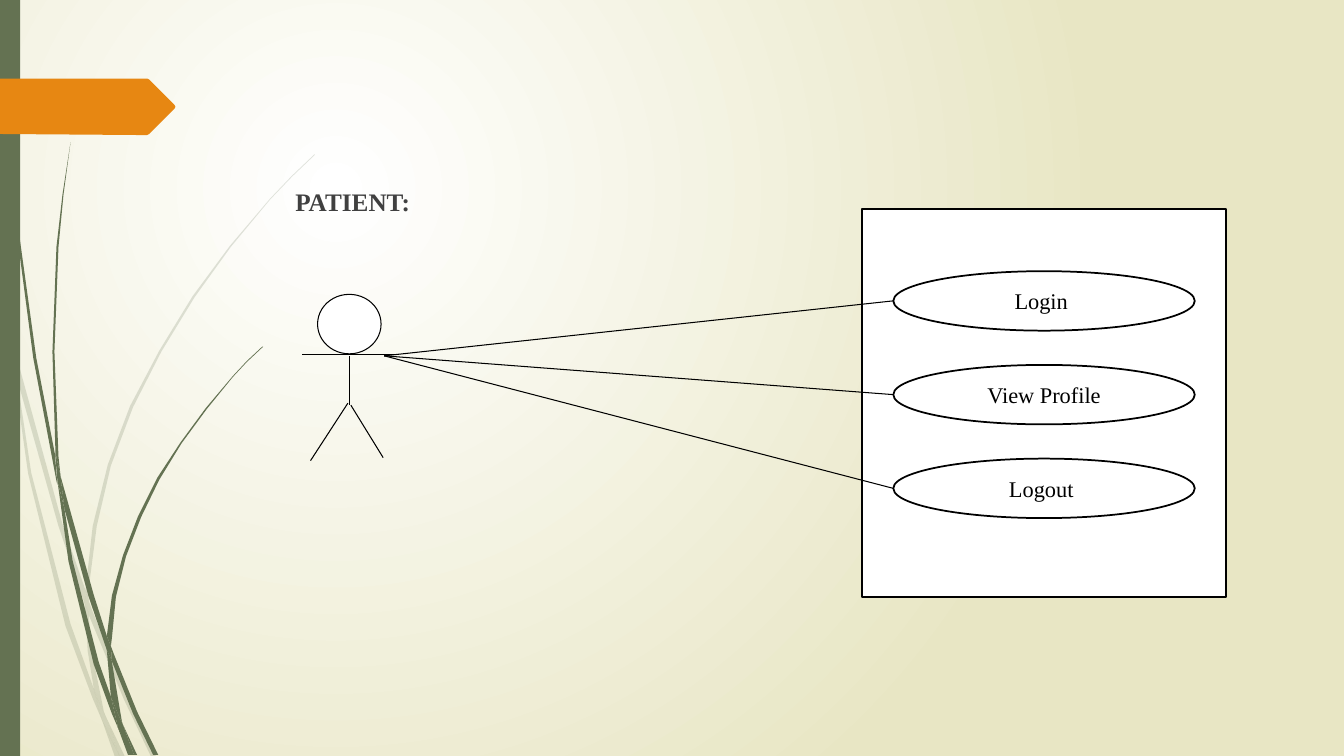
from lxml.etree import SubElement
from pptx import Presentation
from pptx.dml.color import RGBColor
from pptx.enum.shapes import MSO_CONNECTOR, MSO_SHAPE
from pptx.enum.text import MSO_ANCHOR, PP_ALIGN
from pptx.oxml.ns import qn
from pptx.util import Inches, Pt

COLORS = {
    "white": "FFFFFF", "sand": "E8E6C4", "green": "647252",
    "orange": "E78712", "black": "000000", "gray": "404040",
}

# Outlines of the grass, as "x y" points in inches
FAINT = [
    "0.11 3.5, 0.09 3.22, 0 2.82, 0 2.99, 0.1 3.44",
    "0.58 5.22, 0.84 5.99, 0.85 5.86, 0.62 5.2, 0.14 3.45, 0.17 3.76",
    "0.92 6.07, 0.88 5.96, 0.88 6.1, 1.23 6.94, 1.5 7.51, 1.55 7.51, 1.27 6.92",
    "1.19 7.51, 1.24 7.51, 1.05 7.11",
    "0.93 6.83, 0.7 6.19, 0.31 4.69, 0.17 3.76, 0.11 3.5, 0.28 4.7, 0.65 6.21,"
    "0.92 6.93, 1.01 7.14, 0.99 7.07",
    "0.84 5.99, 0.87 6.46, 0.93 6.83, 0.96 6.92, 1.05 7.11, 1.03 7.06, 0.91 6.46,"
    "0.88 6.1, 0.88 6.08",
    "0.88 5.84, 0.96 5.22, 1.1 4.62, 1.32 4.04, 1.6 3.49, 1.93 2.95, 2.29 2.45,"
    "2.68 1.98, 2.9 1.75, 3.12 1.54, 3.12 1.53, 2.89 1.75, 2.68 1.97, 2.28 2.44,"
    "1.91 2.94, 1.58 3.48, 1.29 4.03, 1.07 4.61, 0.92 5.22, 0.85 5.84, 0.85 5.86,"
    "0.88 5.96",
    "1.01 7.14, 1.14 7.51, 1.19 7.51",
    "0.88 6.08, 0.88 6.1, 0.88 5.96, 0.85 5.86, 0.84 5.99",
    "0.96 6.92, 0.93 6.83, 0.99 7.07, 1.01 7.14, 1.19 7.51, 1.05 7.11",
]
SOLID = [
    "0.07 1.1, 0.17 2.33, 0.33 3.55, 0.56 4.77, 0.57 4.81, 0.55 4.57, 0.55 4.53,"
    "0.36 3.55, 0.19 2.32, 0.08 1.09, 0.05 0.48, 0.04 0, 0.03 0, 0.04 0.48",
    "0.88 5.92, 1.06 6.45, 1.06 6.33, 1.06 6.31, 0.93 5.9, 0.6 4.72, 0.64 5.05",
    "1.13 6.49, 1.1 6.41, 1.11 6.56, 1.32 7.08, 1.52 7.49, 1.57 7.49, 1.36 7.06",
    "1.1 6.91, 0.98 6.57, 0.72 5.56, 0.64 5.05, 0.57 4.77, 0.68 5.57, 0.93 6.59,"
    "1.11 7.08, 1.17 7.22, 1.16 7.17",
    "0.6 4.72, 0.58 4.53, 0.54 3.49, 0.58 2.45, 0.63 1.93, 0.7 1.41, 0.62 1.93,"
    "0.56 2.45, 0.52 3.49, 0.55 4.49",
    "1.33 7.49, 1.36 7.49, 1.22 7.19",
    "0.57 4.77, 0.64 5.05, 0.6 4.72, 0.55 4.49, 0.55 4.53",
    "1.11 6.33, 1.15 5.92, 1.25 5.52, 1.4 5.13, 1.58 4.76, 1.8 4.4, 2.05 4.06,"
    "2.31 3.74, 2.45 3.59, 2.61 3.44, 2.6 3.44, 2.45 3.58, 2.31 3.73, 2.04 4.05,"
    "1.79 4.39, 1.56 4.74, 1.37 5.12, 1.22 5.51, 1.11 5.91, 1.06 6.31, 1.1 6.41",
    "1.17 7.22, 1.27 7.49, 1.31 7.49",
    "1.06 6.45, 1.1 6.91, 1.16 7.06, 1.22 7.19, 1.21 7.16, 1.11 6.56, 1.09 6.51",
    "1.06 6.45, 1.09 6.51, 1.11 6.56, 1.1 6.41, 1.06 6.31, 1.06 6.33",
    "1.16 7.06, 1.1 6.91, 1.16 7.17, 1.17 7.22, 1.3 7.49, 1.33 7.49, 1.22 7.19",
]
ARROW = ("1.73 1.08, 1.48 1.33, 1.46 1.34, 1.36 1.34, 0 1.33, 0 0.78, 1.46 0.78,"
         "1.48 0.79, 1.73 1.04, 1.74 1.06")


class Board:
    """Holds the slide and its style."""

    font = "Times New Roman"

    def __init__(self, slide):
        self.slide = slide
        self.shapes = slide.shapes

    def color(self, name):
        return RGBColor.from_string(COLORS[name])

    def back(self, inner, outer):
        fill = self.slide.background.fill
        fill.gradient()
        for stop, name in zip(fill.gradient_stops, (inner, outer)):
            stop.color.rgb = self.color(name)
        grad = self.slide.element.find(".//" + qn("a:gradFill"))
        grad.remove(grad.find(qn("a:lin")))
        glow = SubElement(grad, qn("a:path"), path="circle")
        SubElement(glow, qn("a:fillToRect"), l="50000", t="50000",
                   r="100000", b="100000")

    def paint(self, shape, fill, line=None):
        shape.shadow.inherit = False
        shape.fill.solid()
        shape.fill.fore_color.rgb = self.color(fill)
        if line:
            shape.line.color.rgb = self.color("black")
            shape.line.width = Pt(line)
        else:
            shape.line.fill.background()

    def free(self, text, fill, alpha=None):
        points = [tuple(Inches(float(n)) for n in pair.split())
                  for pair in text.split(",")]
        pen = self.shapes.build_freeform(*points[0])
        pen.add_line_segments(points[1:], close=True)
        shape = pen.convert_to_shape()
        self.paint(shape, fill)
        if alpha:
            tint = shape.element.spPr.find(".//" + qn("a:srgbClr"))
            SubElement(tint, qn("a:alpha"), val=str(alpha * 1000))

    def shape(self, kind, box, fill, line=None):
        shape = self.shapes.add_shape(kind, *map(Inches, box))
        self.paint(shape, fill, line)
        return shape

    def line(self, start, end):
        link = self.shapes.add_connector(
            MSO_CONNECTOR.STRAIGHT, *map(Inches, start + end))
        link.line.color.rgb = self.color("black")
        link.line.width = Pt(0.75)
        SubElement(link.element.spPr, qn("a:effectLst"))

    def label(self, frame, text, size, color, bold=False):
        frame.word_wrap = True
        para = frame.paragraphs[0]
        run = para.add_run()
        run.text = text
        run.font.name = self.font
        run.font.size = Pt(size)
        run.font.bold = bold
        run.font.color.rgb = self.color(color)
        return para

    def title(self, text, box):
        frame = self.shapes.add_textbox(*map(Inches, box)).text_frame
        self.label(frame, text, 18, "gray", True).space_before = Pt(10)

    def case(self, text, box):
        frame = self.shape(MSO_SHAPE.OVAL, box, "white", 1.25).text_frame
        frame.vertical_anchor = MSO_ANCHOR.MIDDLE
        self.label(frame, text, 16, "black").alignment = PP_ALIGN.CENTER


def main():
    deck = Presentation()
    deck.slide_width, deck.slide_height = Inches(13.33), Inches(7.5)
    board = Board(deck.slides.add_slide(deck.slide_layouts[6]))

    # Backdrop
    board.back("white", "sand")
    for blade in FAINT:
        board.free(blade, "green", 20)
    for blade in SOLID:
        board.free(blade, "green")
    board.shape(MSO_SHAPE.RECTANGLE, (0, 0, 0.2, 7.5), "green")
    board.free(ARROW, "orange")

    # Heading
    board.title("PATIENT:", (2.83, 1.8, 9.75, 4.67))

    # Actor: head, arms, body, legs
    board.shape(MSO_SHAPE.OVAL, (3.15, 2.92, 0.63, 0.59), "white", 0.75)
    for start, end in [((3, 3.52), (3.94, 3.52)), ((3.47, 3.53), (3.47, 4.02)),
                       ((3.45, 4), (3.08, 4.57)), ((3.48, 4.02), (3.8, 4.54))]:
        board.line(start, end)

    # System box with its use cases
    board.shape(MSO_SHAPE.RECTANGLE, (8.55, 2.07, 3.61, 3.85), "white", 1.25)
    left, top, wide, high, step = 8.86, 2.69, 2.99, 0.59, 0.93
    for i, name in enumerate(("Login ", "View Profile", "Logout ")):
        y = top + i * step
        board.case(name, (left, y, wide, high))
        board.line((3.81, 3.53), (left, y + high / 2))

    deck.save("out.pptx")


if __name__ == "__main__":
    main()
